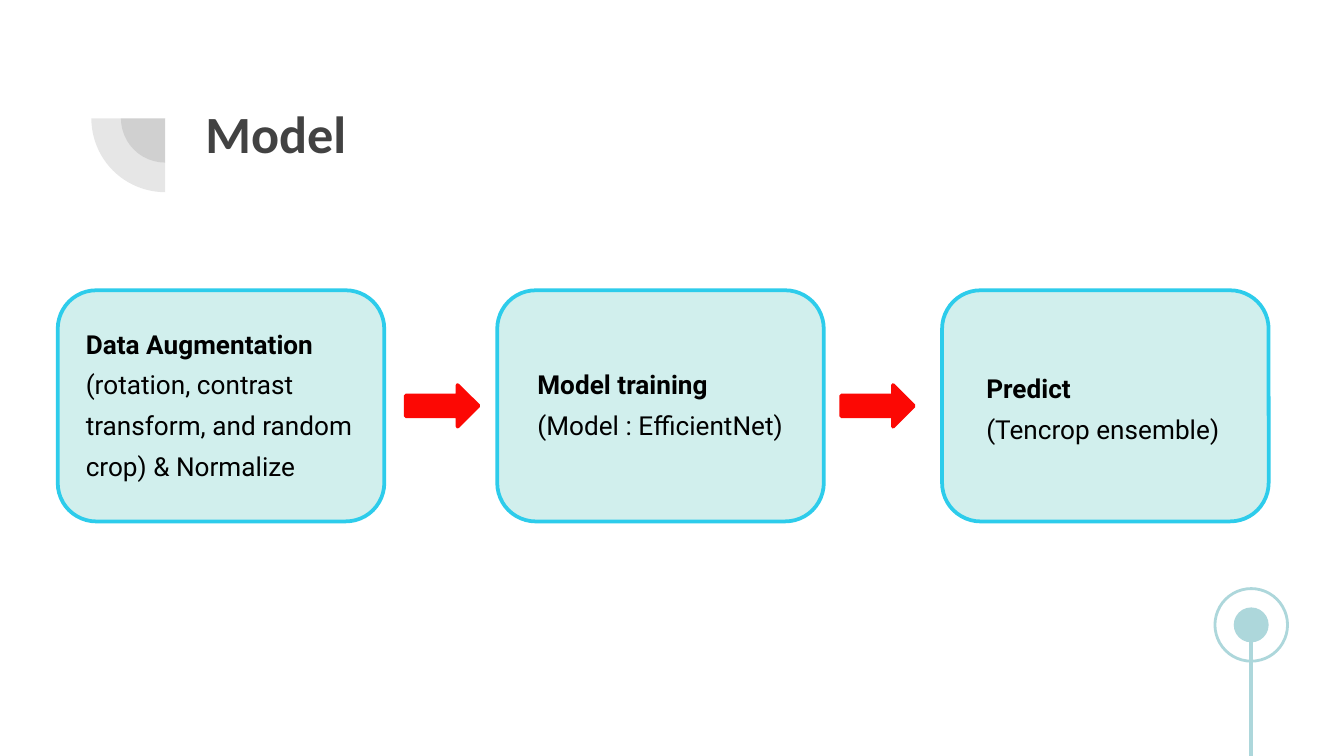
from dataclasses import dataclass

from lxml import etree
from pptx import Presentation
from pptx.dml.color import RGBColor
from pptx.enum.shapes import MSO_CONNECTOR, MSO_SHAPE
from pptx.enum.text import MSO_ANCHOR
from pptx.oxml.ns import qn
from pptx.util import Inches, Pt

PIE = MSO_SHAPE.PIE
OVAL = MSO_SHAPE.OVAL
ROUNDED_BOX = MSO_SHAPE.ROUNDED_RECTANGLE
RIGHT_ARROW = MSO_SHAPE.RIGHT_ARROW
STRAIGHT = MSO_CONNECTOR.STRAIGHT
TOP = MSO_ANCHOR.TOP


@dataclass(frozen=True)
class Theme:
    gray: str = "424242"
    black: str = "000000"
    pin: str = "ADD7DB"
    card: str = "D1EFED"
    card_edge: str = "2DCCEB"
    arrow: str = "FC0804"
    title_font: str = "Calibri"
    body_font: str = "Roboto"
    title_size: int = 28
    body_size: int = 14


THEME = Theme()
SLIDE_WIDTH = 10
SLIDE_HEIGHT = SLIDE_WIDTH * 9 / 16
CARD_TOP, CARD_WIDTH, CARD_HEIGHT = 2.16, 2.43, 1.72
ARROW_WIDTH, ARROW_HEIGHT = 0.54, 0.31

# Card left, text left, text top, heading, detail
STAGES = [
    (0.43, 0.54, 2.27, "Data Augmentation",
     "(rotation, contrast transform, and random crop) & Normalize"),
    (3.70, 3.90, 2.57, "Model training", "(Model : EfficientNet)"),
    (7.01, 7.24, 2.60, "Predict", "(Tencrop ensemble)"),
]
ARROW_LEFTS = [3.02, 6.26]


def add_figure(slide, kind, left, top, width, height,
               fill=None, edge=None, edge_width=2):
    figure = slide.shapes.add_shape(
        kind, Inches(left), Inches(top), Inches(width), Inches(height))
    figure.shadow.inherit = False
    if fill:
        figure.fill.solid()
        figure.fill.fore_color.rgb = RGBColor.from_string(fill)
    else:
        figure.fill.background()
    if edge:
        figure.line.color.rgb = RGBColor.from_string(edge)
        figure.line.width = Pt(edge_width)
    else:
        figure.line.fill.background()
    return figure


def add_quarter(slide, center_x, center_y, radius):
    """Translucent quarter disc, lower left of its center."""
    quarter = add_figure(slide, PIE, center_x - radius, center_y - radius,
                         2 * radius, 2 * radius, THEME.gray)
    quarter.adjustments[0] = 108
    quarter.adjustments[1] = 162
    quarter.rotation = 270
    color = quarter._element.spPr.find(qn("a:solidFill"))[0]
    etree.SubElement(color, qn("a:alpha"), val="13000")


def add_text(slide, left, top, width, height, lines, font, size, color,
             spacing=None):
    """Text box of (text, bold) lines."""
    box = slide.shapes.add_textbox(
        Inches(left), Inches(top), Inches(width), Inches(height))
    frame = box.text_frame
    frame.word_wrap = True
    frame.vertical_anchor = TOP
    frame.margin_left = frame.margin_right = Inches(0.1)
    frame.margin_top = frame.margin_bottom = Inches(0.1)
    for index, (text, bold) in enumerate(lines):
        paragraph = frame.add_paragraph() if index else frame.paragraphs[0]
        paragraph.text = text
        paragraph.line_spacing = spacing
        paragraph.font.name = font
        paragraph.font.size = Pt(size)
        paragraph.font.bold = bold
        paragraph.font.color.rgb = RGBColor.from_string(color)


def add_pin(slide, center_x, center_y):
    """Ringed dot on a stem that runs to the bottom of the slide."""
    dot, ring = 0.13, 0.27
    add_figure(slide, OVAL, center_x - dot, center_y - dot,
               2 * dot, 2 * dot, THEME.pin)
    stem = slide.shapes.add_connector(
        STRAIGHT, Inches(center_x), Inches(center_y),
        Inches(center_x), Inches(SLIDE_HEIGHT))
    stem.line.color.rgb = RGBColor.from_string(THEME.pin)
    stem.line.width = Pt(2.25)
    etree.SubElement(stem._element.spPr, qn("a:effectLst"))
    add_figure(slide, OVAL, center_x - ring, center_y - ring,
               2 * ring, 2 * ring, edge=THEME.pin, edge_width=1.5)


def main():
    presentation = Presentation()
    presentation.slide_width = Inches(SLIDE_WIDTH)
    presentation.slide_height = Inches(SLIDE_HEIGHT)
    slide = presentation.slides.add_slide(presentation.slide_layouts[6])

    # Title with its quarter discs
    for radius in (0.33, 0.55):
        add_quarter(slide, 1.23, 0.88, radius)
    add_text(slide, 1.43, 0.65, 7.69, 1.09, [("Model", True)],
             THEME.title_font, THEME.title_size, THEME.gray)

    # Corner decoration
    add_pin(slide, 9.31, 4.65)

    # Pipeline stages
    for card_left, text_left, text_top, heading, detail in STAGES:
        add_figure(slide, ROUNDED_BOX, card_left, CARD_TOP,
                   CARD_WIDTH, CARD_HEIGHT, THEME.card, THEME.card_edge)
        add_text(slide, text_left, text_top, 2.2, 1.49,
                 [(heading, True), (detail, False)],
                 THEME.body_font, THEME.body_size, THEME.black, spacing=1.3)

    # Arrows between the stages, centered on the cards
    arrow_top = CARD_TOP + (CARD_HEIGHT - ARROW_HEIGHT) / 2
    for arrow_left in ARROW_LEFTS:
        add_figure(slide, RIGHT_ARROW, arrow_left, arrow_top,
                   ARROW_WIDTH, ARROW_HEIGHT, THEME.arrow, THEME.arrow)

    presentation.save("out.pptx")


if __name__ == "__main__":
    main()
